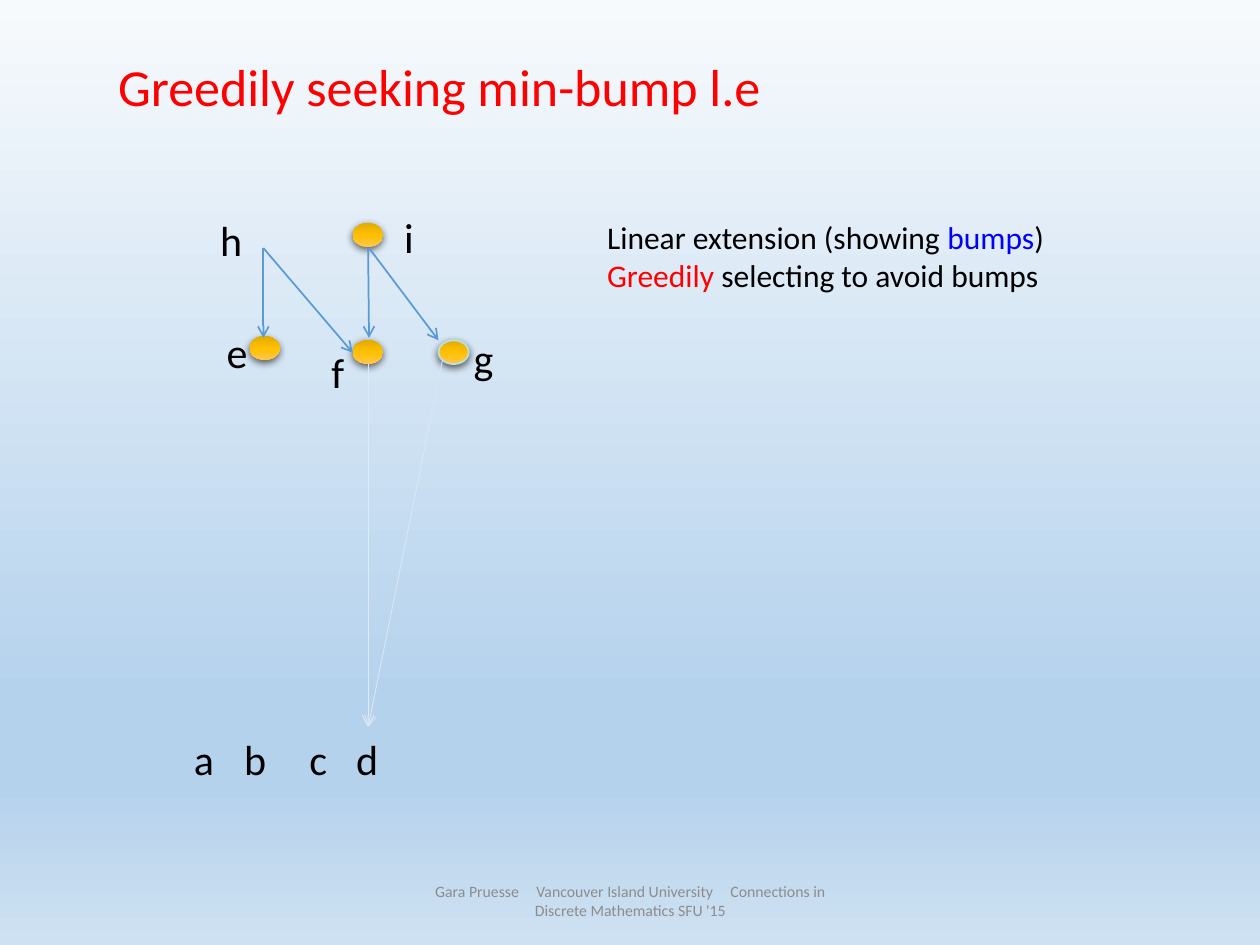
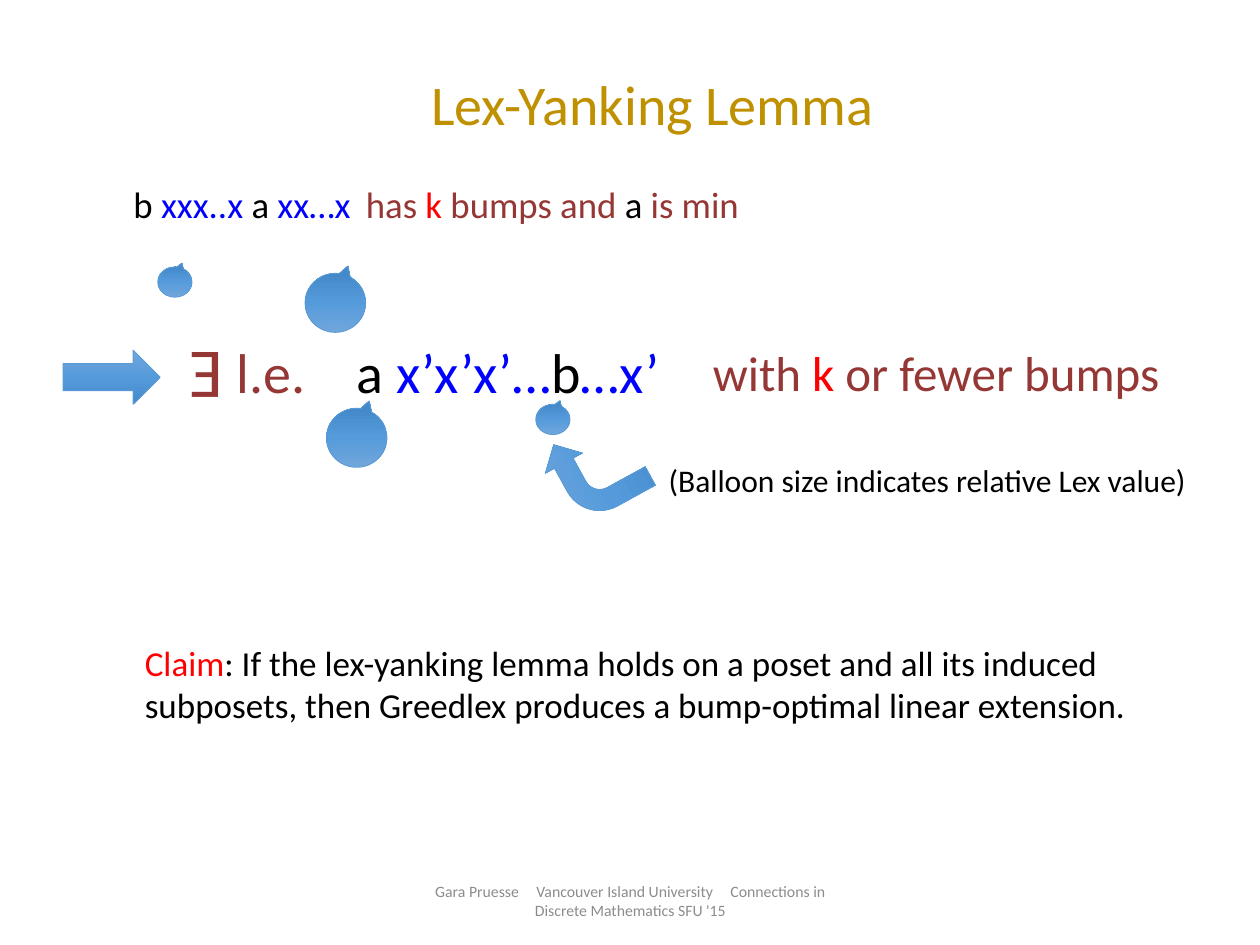
"""Build two slides on greedy linear extensions and the lex-yanking lemma."""
from lxml import etree
from pptx import Presentation
from pptx.dml.color import RGBColor
from pptx.enum.shapes import MSO_CONNECTOR, MSO_SHAPE
from pptx.enum.text import MSO_ANCHOR, MSO_AUTO_SIZE, PP_ALIGN
from pptx.oxml.ns import qn
from pptx.util import Cm, Pt

LEFT, CENTER = PP_ALIGN.LEFT, PP_ALIGN.CENTER
TOP, MIDDLE = MSO_ANCHOR.TOP, MSO_ANCHOR.MIDDLE
FIT, FIXED = MSO_AUTO_SIZE.SHAPE_TO_FIT_TEXT, MSO_AUTO_SIZE.NONE
OVAL, CALLOUT = MSO_SHAPE.OVAL, MSO_SHAPE.OVAL_CALLOUT
RIGHT_ARROW, BENT_ARROW = MSO_SHAPE.RIGHT_ARROW, MSO_SHAPE.BENT_ARROW
STRAIGHT = MSO_CONNECTOR.STRAIGHT

FONT = "Calibri"
COLORS = {
    "black": "000000", "red": "FF0000", "blue": "0000FF", "brown": "953735",
    "gold": "BF9000", "gray": "8C8C8C", "white": "FFFFFF", "steel": "5B9BD5",
    "pale": "DEEBF7", "mist": "DCE6F2", "aqua": "BBE0E3",
}
SKY = [(0, "F7FAFD"), (74, "B5D2EC"), (83, "B5D2EC"), (100, "CEE1F2")]
AMBER = [(0, "FFC64B"), (50, "FFC000"), (100, "E3AB00")]
AZURE = [(0, "71A6DB"), (50, "559BDB"), (100, "448ACA")]


def put_text(slide, box, paragraphs, size, align=LEFT, anchor=TOP, wrap=False):
    """Add a text box of (text, colour, extra spacing in points) runs."""
    text_box = slide.shapes.add_textbox(*map(Cm, box))
    frame = text_box.text_frame
    frame.word_wrap = wrap
    frame.auto_size = FIXED if wrap else FIT
    frame.vertical_anchor = anchor
    for number, runs in enumerate(paragraphs):
        paragraph = frame.add_paragraph() if number else frame.paragraphs[0]
        paragraph.alignment = align
        for text, color, *spacing in runs:
            run = paragraph.add_run()
            run.text = text
            run.font.name = FONT
            run.font.size = Pt(size)
            run.font.color.rgb = RGBColor.from_string(COLORS[color])
            if spacing:
                run.font._element.set("spc", str(spacing[0] * 100))
    return text_box


def paint_gradient(owner, fill, stops):
    """Fill from top to bottom with (percent, colour) stops."""
    fill.gradient()
    fill.gradient_angle = 270
    stop_list = next(owner.element.iter(qn("a:gsLst")))
    for stop in list(stop_list):
        stop_list.remove(stop)
    for percent, color in stops:
        stop = etree.SubElement(stop_list, qn("a:gs"), pos=str(percent * 1000))
        etree.SubElement(stop, qn("a:srgbClr"), val=color)


deck = Presentation()
deck.slide_width, deck.slide_height = Cm(25.4), Cm(19.05)
greedy, lemma = [deck.slides.add_slide(deck.slide_layouts[6]) for _ in range(2)]
paint_gradient(greedy, greedy.background.fill, SKY)
lemma.background.fill.solid()
lemma.background.fill.fore_color.rgb = RGBColor.from_string(COLORS["white"])

footer = [("Gara Pruesse", "gray"), (" ", "gray", 8),
          ("Vancouver Island University", "gray"), (" ", "gray", 8),
          ("Connections in Discrete Mathematics SFU '15", "gray")]
for slide in (greedy, lemma):
    put_text(slide, (8.41, 17.65, 8.59, 1.02), [footer], 9, CENTER, MIDDLE, True)

put_text(greedy, (2.13, 1.53, 22.86, 0.38),
         [[("Greedily seeking min-bump l.e", "red")]], 29.7, anchor=MIDDLE, wrap=True)

nodes = [(7.11, 4.5, None), (7.11, 6.86, None), (5.03, 6.78, None), (8.84, 6.86, "aqua")]
for left, top, outline in nodes:
    node = greedy.shapes.add_shape(OVAL, Cm(left), Cm(top), Cm(0.61), Cm(0.48))
    node.rotation = 180
    paint_gradient(node, node.fill, AMBER)
    if outline:
        node.line.color.rgb = RGBColor.from_string(COLORS[outline])
        node.line.width = Pt(1)
    else:
        node.line.fill.background()
    node.shadow.inherit = False
    effects = node.element.spPr.find(qn("a:effectLst"))
    shadow = etree.SubElement(effects, qn("a:outerShdw"), blurRad="57150", dist="19050",
                              dir="5400000", algn="ctr", rotWithShape="0")
    shade = etree.SubElement(shadow, qn("a:srgbClr"), val=COLORS["black"])
    etree.SubElement(shade, qn("a:alpha"), val="63000")

relations = [
    (5.31, 5, 5.31, 6.81, "steel", 1),
    (7.42, 5, 7.44, 6.81, "steel", 1),
    (7.44, 5, 8.84, 6.86, "steel", 1),
    (5.31, 5, 7.11, 7.11, "steel", 1),
    (7.42, 7.34, 7.42, 14.66, "pale", 0.5),
    (8.92, 7.26, 7.42, 14.66, "mist", 0.5),
]
for *ends, color, weight in relations:
    relation = greedy.shapes.add_connector(STRAIGHT, *map(Cm, ends))
    relation.line.color.rgb = RGBColor.from_string(COLORS[color])
    relation.line.width = Pt(weight)
    properties = relation.element.spPr
    etree.SubElement(properties.find(qn("a:ln")), qn("a:tailEnd"), type="arrow")
    etree.SubElement(properties, qn("a:effectLst"))

elements = [
    ("a", 3.66, 14.66, 0.91), ("b", 4.67, 14.66, 0.97), ("c", 5.99, 14.66, 0.86),
    ("d", 6.93, 14.66, 0.97), ("e", 4.32, 6.45, 0.94), ("f", 6.43, 6.86, 0.76),
    ("g", 9.3, 6.58, 0.91), ("h", 4.19, 4.19, 0.97), ("i", 7.9, 4.14, 0.71),
]
for letter, left, top, width in elements:
    put_text(greedy, (left, top, width, 1.27), [[(letter, "black")]], 24)

put_text(greedy, (11.99, 4.27, 9.42, 2.57), [
    [("Linear extension (showing ", "black"), ("bumps", "blue"), (")", "black")],
    [("Greedily ", "red"), ("selecting to avoid bumps", "black")],
], 18)

put_text(lemma, (2.44, 3.54, 20, 1.2), [[
    ("b ", "black"), ("xxx..x ", "blue"), ("a", "black"), (" xx…x", "blue"),
    (" ", "blue", 4), ("has ", "brown"), ("k", "red"), (" bumps and ", "brown"),
    ("a", "black"), (" is min", "brown"),
]], 21, wrap=True)
put_text(lemma, (1.65, 1.27, 23.01, 1.63), [[("Lex-Yanking Lemma", "gold")]], 32,
         CENTER, wrap=True)
put_text(lemma, (4.52, 6.68, 9.04, 1.63), [[
    ("l.e.", "brown"), (" ", "brown", 22), ("a ", "black"), ("x’x’x’…", "blue"),
    ("b", "black"), ("…x’", "blue"),
]], 32)
exists = put_text(lemma, (3.53, 6.68, 1.22, 1.96), [[("E", "brown")]], 40)
exists.rotation = 180
put_text(lemma, (14.12, 6.78, 9.65, 1.45),
         [[("with ", "brown"), ("k", "red"), (" or fewer bumps", "brown")]], 28)
put_text(lemma, (13.23, 9.17, 11.13, 1.02),
         [[("(Balloon size indicates relative Lex value)", "black")]], 18)
put_text(lemma, (2.67, 12.8, 20.4, 1.96), [[
    ("Claim", "red"),
    (": If the lex-yanking lemma holds on a poset and all its induced subposets, "
     "then Greedlex produces a bump-optimal linear extension.", "black"),
]], 20, wrap=True)

large, small = (1.22, 1.19), (0.69, 0.61)
markers = [
    (RIGHT_ARROW, 1.27, 7.06, (1.96, 1.09), 0),
    (CALLOUT, 6.15, 5.51, large, 180),
    (CALLOUT, 3.18, 5.38, small, 180),
    (CALLOUT, 6.58, 8.23, large, 180),
    (CALLOUT, 10.8, 8.15, small, 180),
    (BENT_ARROW, 11.15, 8.56, (1.7, 1.83), 241.3),
]
for kind, left, top, size, turn in markers:
    marker = lemma.shapes.add_shape(kind, Cm(left), Cm(top), *map(Cm, size))
    marker.rotation = turn
    paint_gradient(marker, marker.fill, AZURE)
    marker.line.color.rgb = RGBColor.from_string(COLORS["steel"])
    marker.line.width = Pt(0.5)
    marker.shadow.inherit = False

deck.save("out.pptx")
